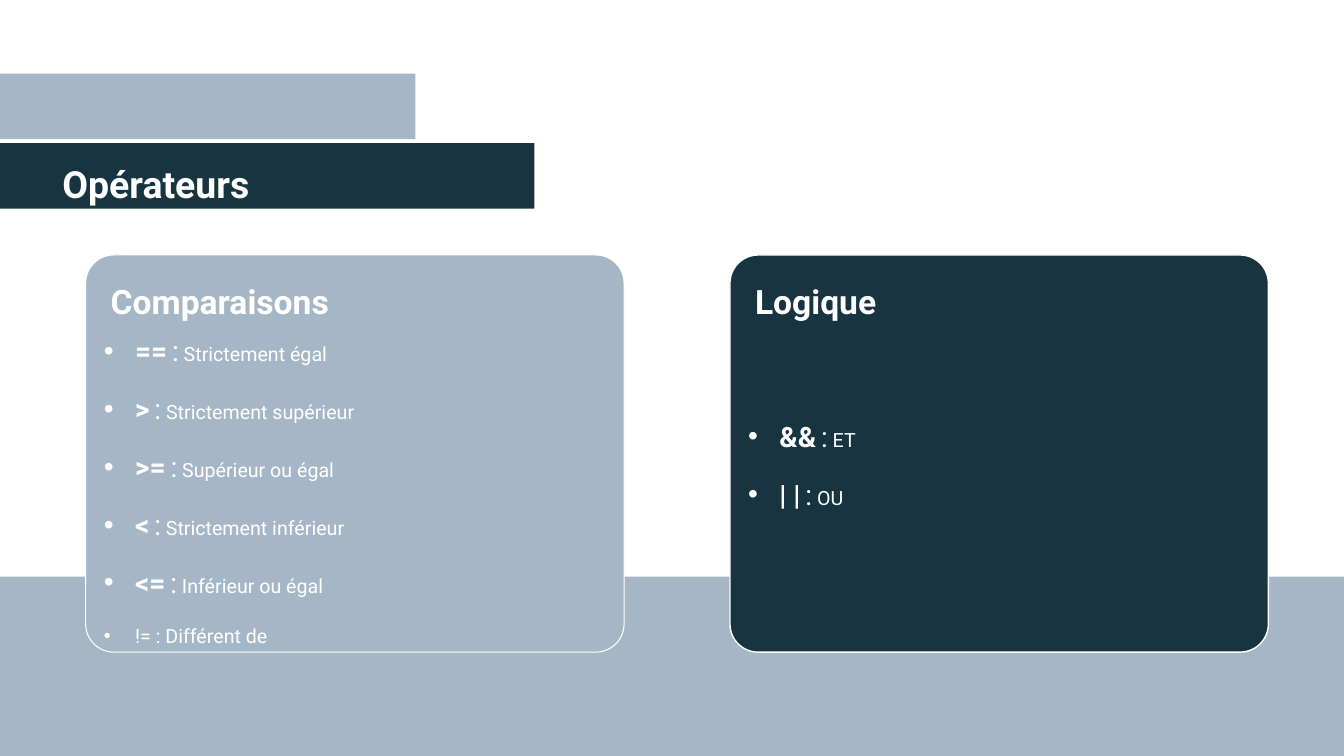
from dataclasses import dataclass

from lxml import etree
from pptx import Presentation
from pptx.dml.color import RGBColor
from pptx.enum import shapes as sh, text as tx
from pptx.oxml import ns
from pptx.util import Inches, Pt


@dataclass(frozen=True)
class Theme:
    font: str = "Roboto"
    white: str = "FFFFFF"
    pale: str = "A5B7C6"
    dark: str = "193441"
    title: float = 26.7
    head: float = 24
    sign: float = 20
    body: float = 14
    gap: float = 17.4


@dataclass(frozen=True)
class Box:
    left: float
    top: float
    width: float
    height: float

    def emu(self) -> list:
        return [Inches(v) for v in (self.left, self.top, self.width, self.height)]


@dataclass(frozen=True)
class Row:
    sign: str
    label: str
    large: bool = True


@dataclass(frozen=True)
class Card:
    left: float
    fill: str
    line: float
    inset: float  # space above the first row
    head: str
    shift: float  # heading offset from the card's left side
    rows: tuple


T = Theme()

BANDS = (
    (Box(-0.07, 5.72, 13.41, 1.78), T.pale),
    (Box(0, 0.73, 4.12, 0.65), T.pale),
    (Box(0, 1.42, 5.3, 0.65), T.dark),
)

CARDS = (
    Card(0.85, T.pale, 0.75, 0.7, "Comparaisons", 0.15, (
        Row("==", "Strictement égal"),
        Row(">", "Strictement supérieur"),
        Row(">=", "Supérieur ou égal"),
        Row("<", "Strictement inférieur"),
        Row("<=", "Inférieur ou égal"),
        Row("!=", "Différent de", False),
    )),
    Card(7.24, T.dark, 1, 1.55, "Logique", 0.15, (
        Row("&&", "ET"),
        Row("| |", "OU"),
    )),
)


def block(slide, kind, box: Box, fill: str):
    """Add a plain filled shape without a line or shadow."""
    shape = slide.shapes.add_shape(kind, *box.emu())
    shape.shadow.inherit = False
    shape.fill.solid()
    shape.fill.fore_color.rgb = RGBColor.from_string(fill)
    shape.line.fill.background()
    return shape


def style(para) -> None:
    """Give a paragraph the common font, colour and alignment."""
    para.alignment = tx.PP_ALIGN.LEFT
    para.font.name = T.font
    para.font.color.rgb = RGBColor.from_string(T.white)


def label(slide, box: Box, text: str, size: float):
    """Add a bold one-line text box."""
    frame = slide.shapes.add_textbox(*box.emu()).text_frame
    frame.word_wrap = True
    para = frame.paragraphs[0]
    para.text = text
    style(para)
    para.font.size = Pt(size)
    para.font.bold = True
    return frame


def bullet(para) -> None:
    """Add a white bullet with a hanging indent."""
    props = para._p.get_or_add_pPr()
    props.set("marL", str(Inches(0.31)))
    props.set("indent", str(-Inches(0.31)))
    tint = etree.SubElement(props, ns.qn("a:buClr"))
    etree.SubElement(tint, ns.qn("a:srgbClr"), val=T.white)
    etree.SubElement(props, ns.qn("a:buFont"), typeface="Arial")
    etree.SubElement(props, ns.qn("a:buChar"), char="•")


def write(para, row: Row) -> None:
    """Write one operator and its meaning."""
    bullet(para)
    style(para)
    para.space_after = Pt(T.gap)
    if not row.large:
        para.text = f"{row.sign} : {row.label}"
        para.font.size = Pt(T.body)
        return
    parts = (
        (row.sign, T.sign, True),
        (" ", T.body, False),
        (":", T.sign, False),
        (f" {row.label}", T.body, False),
    )
    for text, size, bold in parts:
        run = para.add_run()
        run.text = text
        run.font.size = Pt(size)
        run.font.bold = bold


def panel(slide, card: Card) -> None:
    """Draw a rounded card with its heading and rows."""
    box = Box(card.left, 2.53, 5.34, 3.94)
    shape = block(slide, sh.MSO_SHAPE.ROUNDED_RECTANGLE, box, card.fill)
    shape.adjustments[0] = 0.071
    shape.line.color.rgb = RGBColor.from_string(T.white)
    shape.line.width = Pt(card.line)
    frame = shape.text_frame
    frame.word_wrap = True
    frame.vertical_anchor = tx.MSO_ANCHOR.TOP
    frame.margin_top = Inches(card.inset)
    for i, row in enumerate(card.rows):
        write(frame.add_paragraph() if i else frame.paragraphs[0], row)
    label(slide, Box(card.left + card.shift, 2.74, 5.34, 0.5), card.head, T.head)


def main() -> None:
    deck = Presentation()
    deck.slide_width, deck.slide_height = Inches(13.33), Inches(7.5)
    slide = deck.slides.add_slide(deck.slide_layouts[6])

    # Background bands
    for box, fill in BANDS:
        block(slide, sh.MSO_SHAPE.RECTANGLE, box, fill)

    # Title
    frame = label(slide, Box(0.52, 1.36, 6.14, 0.69), "Opérateurs", T.title)
    frame.vertical_anchor = tx.MSO_ANCHOR.MIDDLE
    frame.margin_top = frame.margin_bottom = Inches(0.1)
    frame.paragraphs[0].line_spacing = 1.5

    # Operator cards
    for card in CARDS:
        panel(slide, card)

    deck.save("out.pptx")


if __name__ == "__main__":
    main()
